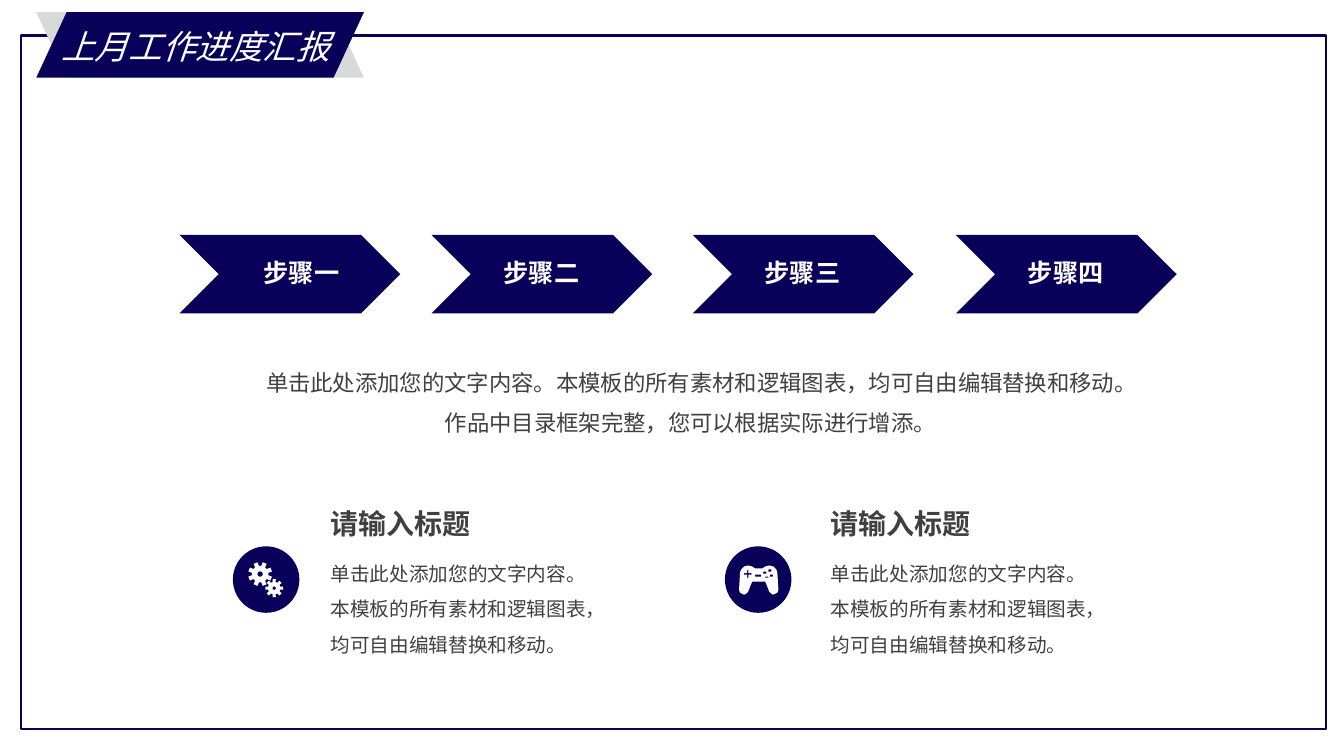
"""Build the monthly progress report slide with four steps and two topics."""
from math import cos, radians, sin

from lxml.etree import SubElement
from pptx import Presentation
from pptx.dml.color import RGBColor
from pptx.enum.shapes import MSO_SHAPE
from pptx.enum.text import MSO_AUTO_SIZE, PP_ALIGN
from pptx.oxml.ns import qn
from pptx.util import Inches, Pt

NAVY, SILVER, WHITE, INK = "080059", "D9D9D9", "FFFFFF", "404040"
SANS = "Noto Sans CJK SC"
COLUMNS, ROWS = 1333, 750
HEADING = "上月工作进度汇报"
STEPS = [
    ("步骤一", 178, 228),
    ("步骤二", 428, 466),
    ("步骤三", 687, 725),
    ("步骤四", 948, 986),
]
SUMMARY = (
    "单击此处添加您的文字内容。本模板的所有素材和逻辑图表，均可自由编辑替换和移动。"
    "作品中目录框架完整，您可以根据实际进行增添。"
)
TOPIC_TEXT = "单击此处添加您的文字内容。本模板的所有素材和逻辑图表，均可自由编辑替换和移动。"
TOPICS = [("请输入标题", TOPIC_TEXT, 231, 318), ("请输入标题", TOPIC_TEXT, 719, 814)]
GEARS = [
    {"center": (258, 569.5), "tip": 12, "root": 8.3, "hole": 2.7, "turn": 22.5},
    {"center": (272, 583.5), "tip": 9, "root": 6.2, "hole": 1.7, "turn": 0},
]
PAD_MIDDLE = 752.5
PAD_LEFT_HALF = [
    (749, 564), (746, 562), (742, 561), (738, 562), (735, 565), (734, 568),
    (733, 585), (734, 588), (738, 590), (740, 589), (742, 587), (746, 577),
]
PAD_CROSS = {"center": (741.7, 569.4), "arm": 3.8, "half": 0.7}
PAD_KEYS = [
    (749, 570, 6, 2), (757, 567, 3, 2), (759, 572, 3, 1),
    (762, 565, 3, 2), (763.5, 570, 3, 2),
]

deck = Presentation()
deck.slide_width, deck.slide_height = Inches(13.33), Inches(7.5)
page = deck.slides.add_slide(deck.slide_layouts[6])
CELL_WIDTH, CELL_HEIGHT = deck.slide_width / COLUMNS, deck.slide_height / ROWS


def color(code):
    return RGBColor.from_string(code)


def place(left, top, width, height):
    return (
        round(left * CELL_WIDTH), round(top * CELL_HEIGHT),
        round(width * CELL_WIDTH), round(height * CELL_HEIGHT),
    )


def paint(shape, fill=None, line=None):
    shape.shadow.inherit = False
    if fill:
        shape.fill.solid()
        shape.fill.fore_color.rgb = color(fill)
    else:
        shape.fill.background()
    if line:
        shape.line.color.rgb = color(line)
        shape.line.width = Pt(1.75)
    else:
        shape.line.fill.background()
    return shape


def add_figure(kind, area, **style):
    return paint(page.shapes.add_shape(kind, *place(*area)), **style)


def add_text(text, area, size, ink=INK, font=SANS, bold=False, italic=False,
             align=PP_ALIGN.LEFT, spacing=1.0, wrap=True):
    box = page.shapes.add_textbox(*place(*area))
    box.text_frame.word_wrap = wrap
    box.text_frame.auto_size = MSO_AUTO_SIZE.SHAPE_TO_FIT_TEXT
    para = box.text_frame.paragraphs[0]
    para.alignment, para.line_spacing = align, spacing
    span = para.add_run()
    span.text = text
    span.font.size, span.font.name = Pt(size), font
    span.font.bold, span.font.italic = bold, italic
    span.font.color.rgb = color(ink)
    SubElement(span.font._element, qn("a:ea")).set("typeface", font)


def add_outline(contours):
    scaled = [[place(x, y, 0, 0)[:2] for x, y in contour] for contour in contours]
    builder = page.shapes.build_freeform(*scaled[0][0], scale=1.0)
    for index, points in enumerate(scaled):
        if index:
            builder.move_to(*points[0])
        builder.add_line_segments(points[1:], close=True)
    paint(builder.convert_to_shape(), fill=WHITE)


def polar(center, radius, angle):
    turn = radians(angle)
    return center[0] + radius * cos(turn), center[1] + radius * sin(turn)


def gear_contours(center, tip, root, hole, turn):
    profile = [(-14, root), (-10, tip), (10, tip), (14, root)]
    teeth = [
        polar(center, radius, turn + 45 * tooth + offset)
        for tooth in range(8) for offset, radius in profile
    ]
    return [teeth, [polar(center, hole, -30 * step) for step in range(12)]]


def cross_contour(center, arm, half):
    corner = [(half, -arm), (half, -half), (arm, -half)]
    points = []
    for _ in range(4):
        points += corner
        corner = [(-y, x) for x, y in corner]
    return [(center[0] + x, center[1] + y) for x, y in points]


def key_contour(left, top, width, height):
    right, bottom = left + width, top + height
    return [(left, top), (right, top), (right, bottom), (left, bottom)]


def pad_contours():
    mirrored = [(2 * PAD_MIDDLE - x, y) for x, y in reversed(PAD_LEFT_HALF)]
    keys = [key_contour(*key) for key in PAD_KEYS]
    return [PAD_LEFT_HALF + mirrored, cross_contour(**PAD_CROSS), *keys]


add_figure(MSO_SHAPE.RECTANGLE, (21, 35, 1294, 688), line=NAVY)
for fill, flipped in ((SILVER, True), (NAVY, False)):
    ribbon = add_figure(MSO_SHAPE.PARALLELOGRAM, (36, 12, 325, 65), fill=fill)
    ribbon.adjustments[0] = 0.463
    if flipped:
        ribbon._element.spPr.find(qn("a:xfrm")).set("flipH", "1")
add_text(HEADING, (51, 21, 289, 50), 24, ink=WHITE, font="Arial", italic=True, wrap=False)

for label, arrow_left, label_left in STEPS:
    add_figure(MSO_SHAPE.CHEVRON, (arrow_left, 233, 219, 78), fill=NAVY)
    add_text(label, (label_left, 250, 142, 40), 18, ink=WHITE, bold=True,
             align=PP_ALIGN.CENTER)
add_text(SUMMARY, (244, 348, 882, 86), 16, align=PP_ALIGN.CENTER, spacing=1.5)

for title, detail, badge_left, text_left in TOPICS:
    add_figure(MSO_SHAPE.OVAL, (badge_left, 542, 66, 66), fill=NAVY)
    add_text(detail, (text_left, 541, 278, 112), 14, spacing=1.5)
    add_text(title, (text_left, 498, 189, 44), 20, bold=True)
for gear in GEARS:
    add_outline(gear_contours(**gear))
add_outline(pad_contours())

deck.save("out.pptx")
